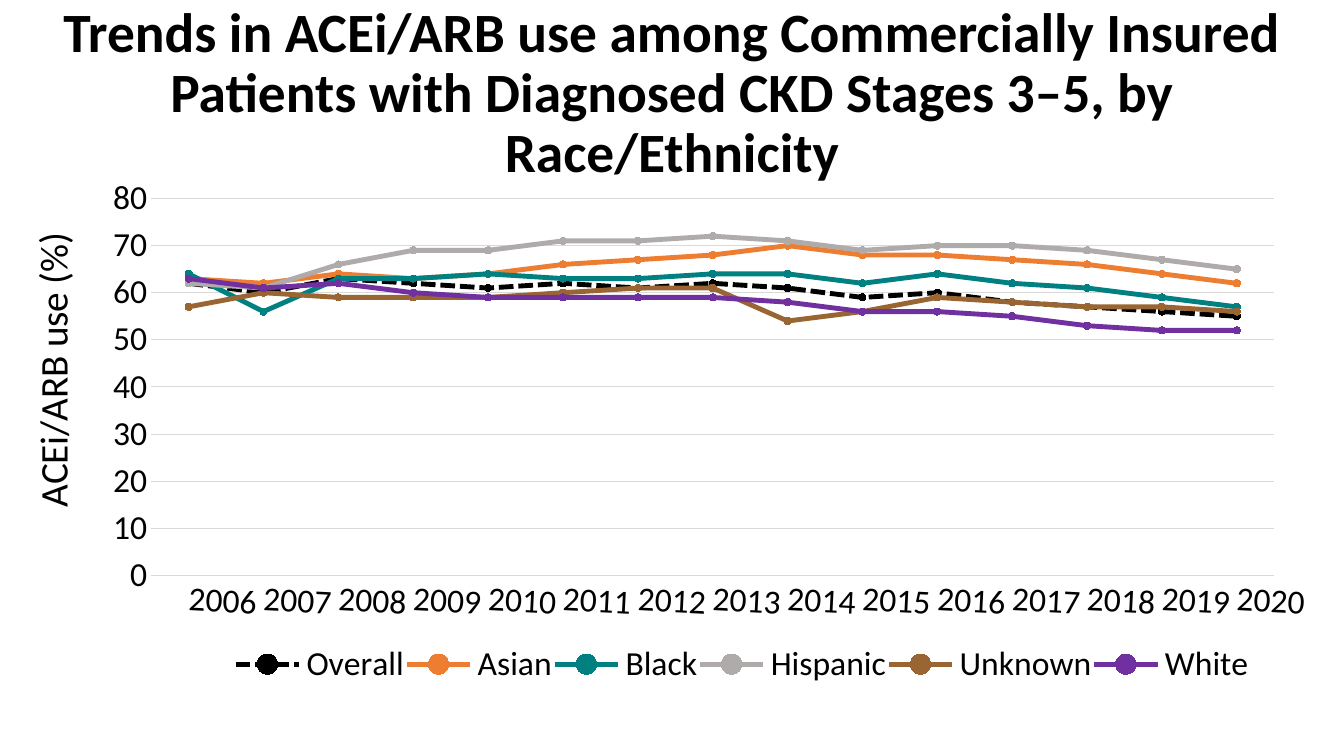
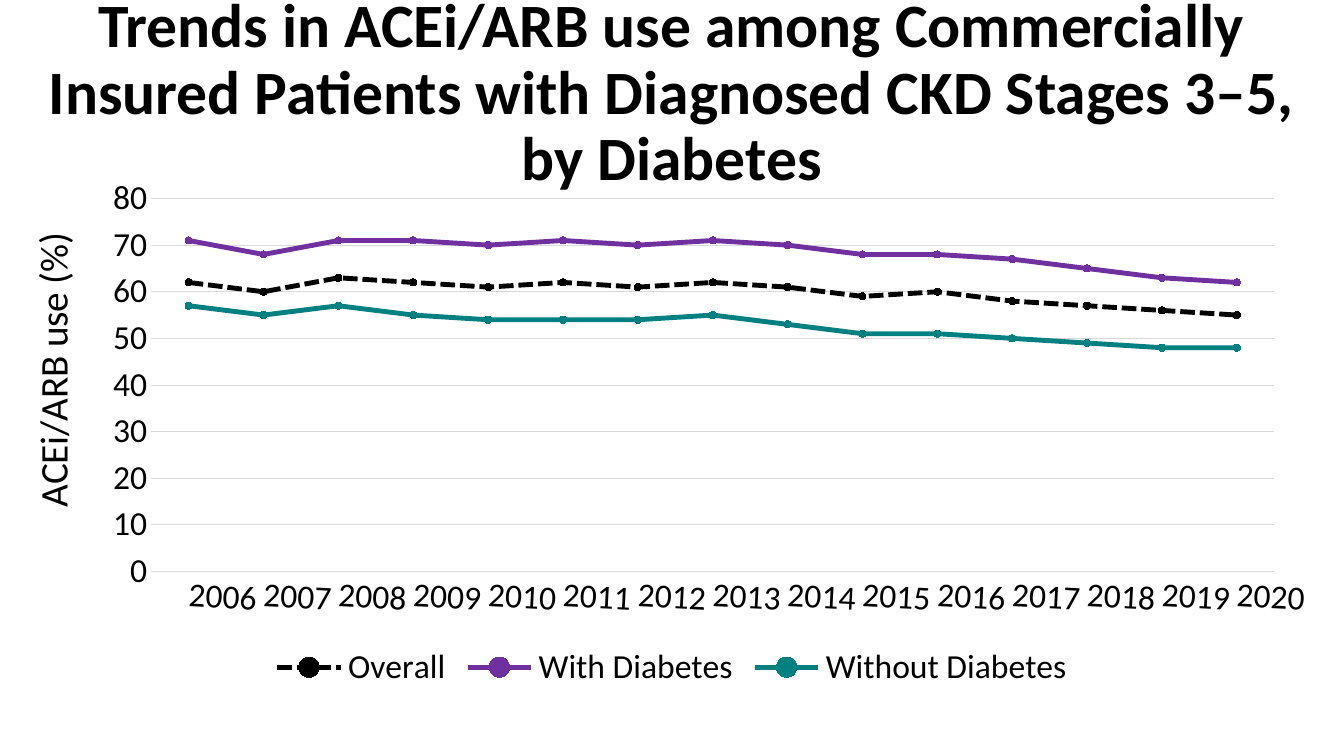
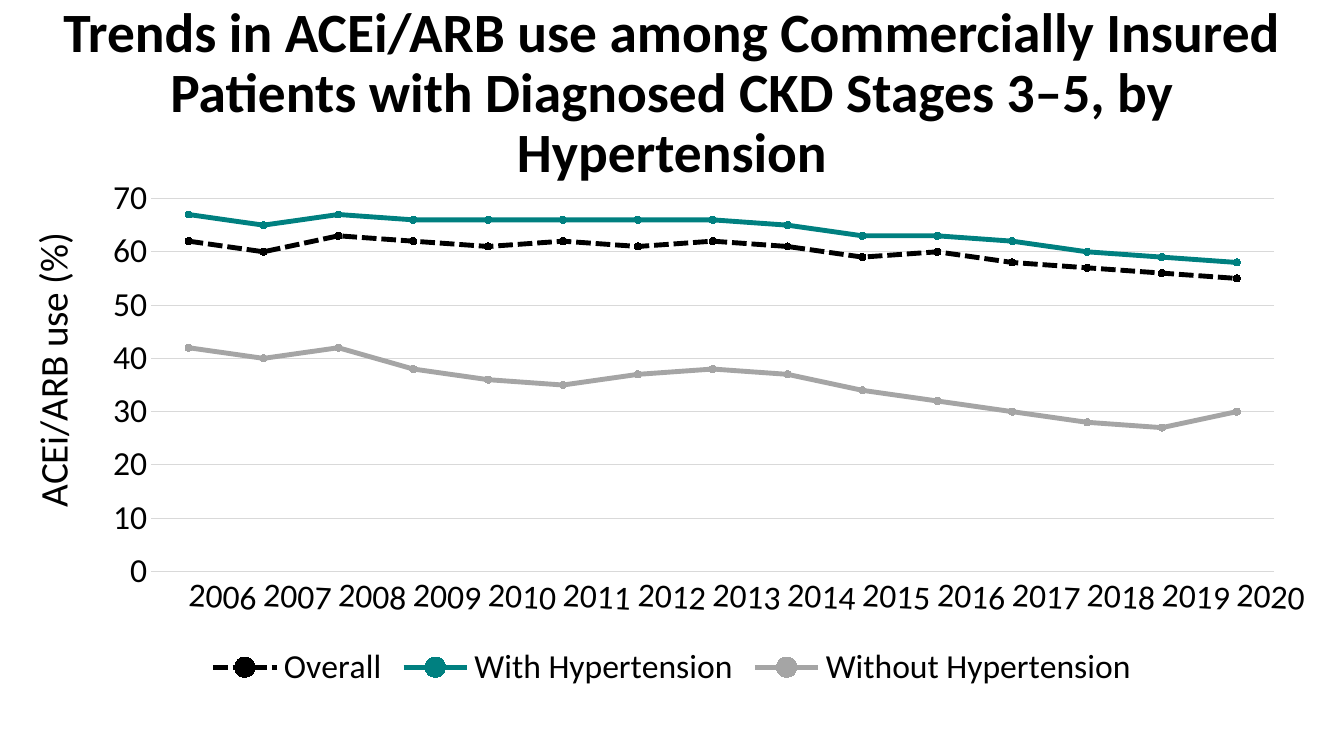
from pptx import Presentation
from pptx.chart.data import CategoryChartData
from pptx.dml.color import RGBColor
from pptx.enum.chart import (XL_CHART_TYPE, XL_LEGEND_POSITION,
                             XL_MARKER_STYLE, XL_TICK_MARK)
from pptx.enum.dml import MSO_LINE
from pptx.enum.text import MSO_ANCHOR, PP_ALIGN
from pptx.oxml import parse_xml
from pptx.oxml.ns import nsdecls, qn
from pptx.util import Pt

PX = 9144  # EMU in one px, 100 px to the inch
FONT = "Calibri"
BLACK = RGBColor(0x00, 0x00, 0x00)
ORANGE = RGBColor(0xED, 0x7D, 0x31)
TEAL = RGBColor(0x00, 0x80, 0x80)
SILVER = RGBColor(0xAF, 0xAB, 0xAB)
GRAY = RGBColor(0xA5, 0xA5, 0xA5)
BROWN = RGBColor(0x99, 0x66, 0x33)
PURPLE = RGBColor(0x70, 0x30, 0xA0)
RULE = RGBColor(0xD9, 0xD9, 0xD9)

LEFT, WIDTH = 11, 1311
YEARS = [str(year) for year in range(2006, 2021)]
TITLE = ("Trends in ACEi/ARB use among Commercially Insured Patients "
         "with Diagnosed CKD Stages 3–5, by ")
OVERALL = ("Overall", BLACK,
           [62, 60, 63, 62, 61, 62, 61, 62, 61, 59, 60, 58, 57, 56, 55])

RACE = [
    OVERALL,
    ("Asian", ORANGE,
     [63, 62, 64, 63, 64, 66, 67, 68, 70, 68, 68, 67, 66, 64, 62]),
    ("Black", TEAL,
     [64, 56, 63, 63, 64, 63, 63, 64, 64, 62, 64, 62, 61, 59, 57]),
    ("Hispanic", SILVER,
     [62, 61, 66, 69, 69, 71, 71, 72, 71, 69, 70, 70, 69, 67, 65]),
    ("Unknown", BROWN,
     [57, 60, 59, 59, 59, 60, 61, 61, 54, 56, 59, 58, 57, 57, 56]),
    ("White", PURPLE,
     [63, 61, 62, 60, 59, 59, 59, 59, 58, 56, 56, 55, 53, 52, 52]),
]
SUGAR = [
    OVERALL,
    ("With Diabetes", PURPLE,
     [71, 68, 71, 71, 70, 71, 70, 71, 70, 68, 68, 67, 65, 63, 62]),
    ("Without Diabetes", TEAL,
     [57, 55, 57, 55, 54, 54, 54, 55, 53, 51, 51, 50, 49, 48, 48]),
]
TENSION = [
    OVERALL,
    ("With Hypertension", TEAL,
     [67, 65, 67, 66, 66, 66, 66, 66, 65, 63, 63, 62, 60, 59, 58]),
    ("Without Hypertension", GRAY,
     [42, 40, 42, 38, 36, 35, 37, 38, 37, 34, 32, 30, 28, 27, 30]),
]


def place(parent, index, high, spot, inner=False):
    """Give a chart part a fixed place; spot is in px from the chart's corner."""
    for old in parent.findall(qn("c:layout")):
        parent.remove(old)
    rows = '<c:layoutTarget val="inner"/>' if inner else ""
    rows += '<c:xMode val="edge"/><c:yMode val="edge"/>'
    for tag, value, whole in zip("xywh", spot, (WIDTH, high) * 2):
        rows += f'<c:{tag} val="{value / whole:.4f}"/>'
    parent.insert(index, parse_xml(
        f'<c:layout {nsdecls("c")}><c:manualLayout>{rows}'
        '</c:manualLayout></c:layout>'))


class Deck:
    def __init__(self):
        self.file = Presentation()
        self.file.slide_width = 1333 * PX
        self.file.slide_height = 750 * PX
        self.slide = None

    def add(self):
        self.slide = self.file.slides.add_slide(self.file.slide_layouts[6])

    def style(self, font, size, bold=False):
        font.name, font.size, font.bold = FONT, Pt(size), bold
        font.color.rgb = BLACK

    def title(self, text, size):
        box = self.slide.shapes.add_textbox(
            LEFT * PX, 21 * PX, WIDTH * PX, 145 * PX)
        frame = box.text_frame
        frame.word_wrap = True
        frame.vertical_anchor = MSO_ANCHOR.MIDDLE
        frame.text = text
        line = frame.paragraphs[0]
        line.alignment = PP_ALIGN.CENTER
        line.line_spacing = 0.9
        self.style(line.runs[0].font, size, True)

    def chart(self, rows, high, top):
        data = CategoryChartData(number_format="0")
        data.categories = YEARS
        for name, _, values in rows:
            data.add_series(name, values)
        chart = self.slide.shapes.add_chart(
            XL_CHART_TYPE.LINE_MARKERS, LEFT * PX, 166 * PX,
            WIDTH * PX, high * PX, data).chart
        chart.has_title = False
        self.style(chart.font, 10)
        plot = chart.plots[0]
        plot.vary_by_categories = False
        place(plot._element.getparent(), 0, high,
              (139, 31, 1114, high - 153), inner=True)
        for series, (_, color, _) in zip(plot.series, rows):
            self.line(series, color)
        self.axes(chart, high, top)
        self.legend(chart)
        return chart

    def line(self, series, color):
        series.smooth = False
        line = series.format.line
        line.color.rgb = color
        line.width = Pt(3.5)
        if color == BLACK:
            line.dash_style = MSO_LINE.SQUARE_DOT
        mark = series.marker
        mark.style, mark.size = XL_MARKER_STYLE.CIRCLE, 5
        mark.format.fill.solid()
        mark.format.fill.fore_color.rgb = color
        mark.format.line.color.rgb = color

    def axes(self, chart, high, top):
        years, scale = chart.category_axis, chart.value_axis
        for axis in (years, scale):
            axis.major_tick_mark = axis.minor_tick_mark = XL_TICK_MARK.NONE
            self.style(axis.tick_labels.font, 24)
        years._element.txPr.bodyPr.set("rot", "180000")
        scale.minimum_scale, scale.maximum_scale = 0, top
        scale.major_unit = 10
        scale.tick_labels.number_format = "0"
        scale.tick_labels.number_format_is_linked = False
        scale.format.line.fill.background()
        scale.has_major_gridlines = True
        for line in (years.format.line, scale.major_gridlines.format.line):
            line.color.rgb = RULE
            line.width = Pt(0.75)
        title = scale.axis_title
        frame = title.text_frame
        frame.text = "ACEi/ARB use (%)"
        self.style(frame.paragraphs[0].runs[0].font, 28)
        frame._txBody.bodyPr.set("rot", "-5400000")
        place(title._element, 1, high, (8, 58))

    def legend(self, chart):
        chart.has_legend = True
        chart.legend.position = XL_LEGEND_POSITION.BOTTOM
        chart.legend.include_in_layout = False
        self.style(chart.legend.font, 24)


def main():
    deck = Deck()
    for group, size, rows, high, top in (
            ("Race/Ethnicity", 39.6, RACE, 527, 80),
            ("Diabetes", 44, SUGAR, 523, 80),
            ("Hypertension", 39.6, TENSION, 523, 70)):
        deck.add()
        deck.title(TITLE + group, size)
        chart = deck.chart(rows, high, top)
        if rows is RACE:
            place(chart.legend._element, 1, high, (220, 467, 1010, 52))
    deck.file.save("out.pptx")


if __name__ == "__main__":
    main()
